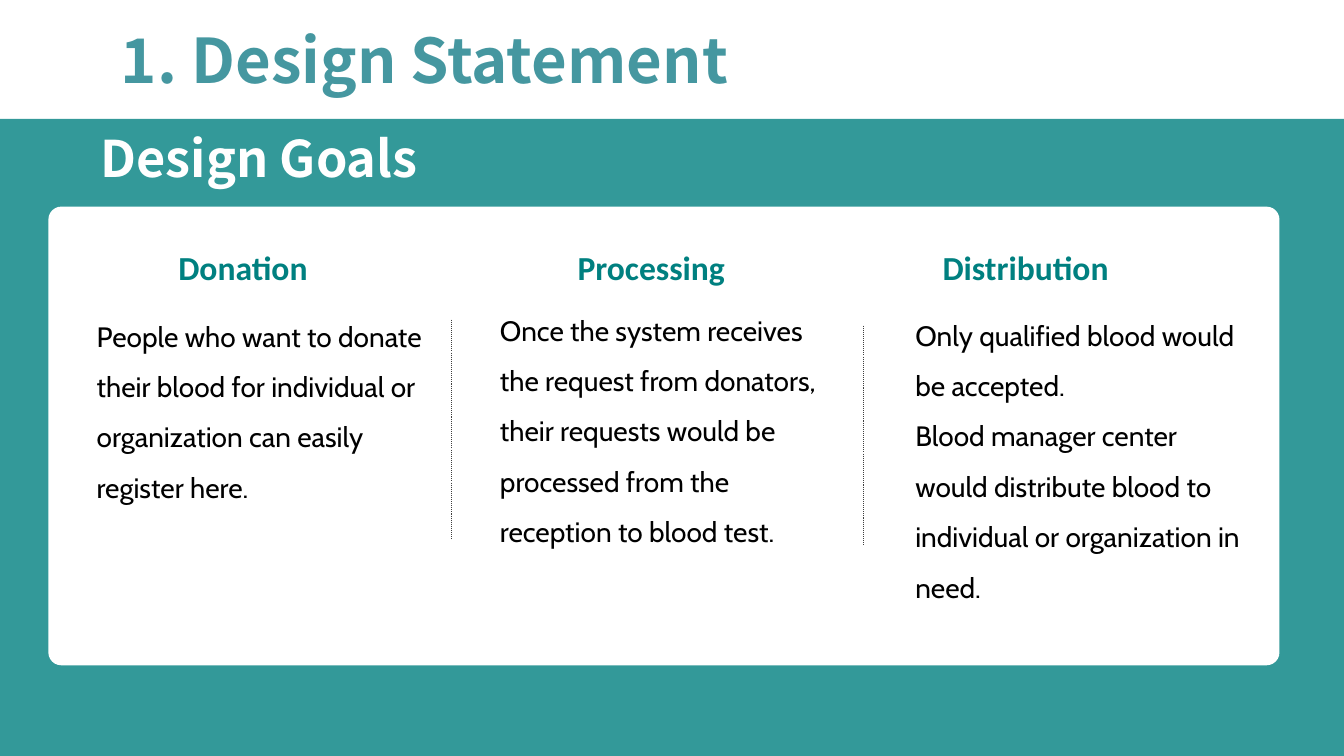
"""Build the Design Statement slide with its three design goals."""
from dataclasses import dataclass

from lxml.etree import SubElement
from pptx import Presentation
from pptx.dml.color import RGBColor
from pptx.enum.dml import MSO_LINE_DASH_STYLE as Dash
from pptx.enum.shapes import MSO_CONNECTOR as Connector, MSO_SHAPE as Shape
from pptx.enum.text import MSO_ANCHOR as Anchor, PP_ALIGN as Align
from pptx.oxml.ns import qn
from pptx.util import Inches, Pt

TEAL = RGBColor(0x00, 0x80, 0x80)
TITLE_BLUE = RGBColor(0x45, 0x97, 0xA0)
WHITE = RGBColor(0xFF, 0xFF, 0xFF)
BLACK = RGBColor(0x00, 0x00, 0x00)
GREY = RGBColor(0x3F, 0x3F, 0x3F)


@dataclass(frozen=True)
class TextStyle:
    font: str
    size: int
    color: RGBColor
    bold: bool = True
    line_spacing: float = 1.0


@dataclass(frozen=True)
class Goal:
    heading: str
    heading_left: float
    paragraphs: tuple[str, ...]
    body_left: float
    body_top: float


@dataclass(frozen=True)
class Divider:
    left: float
    top: float


TITLE = TextStyle("Noto Sans CJK SC", 44, TITLE_BLUE)
SUBTITLE = TextStyle("Noto Sans CJK SC", 36, WHITE)
HEADING = TextStyle("Calibri", 24, TEAL)
BODY = TextStyle("Cabin", 20, BLACK, bold=False, line_spacing=1.5)

GOALS = (
    Goal("Donation", 1.67,
         ("People who want to donate their blood for individual or "
          "organization can easily register here.",), 0.86, 2.95),
    Goal("Processing", 5.63,
         ("Once the system receives the request from donators, their requests "
          "would be processed from the reception to blood test.",), 4.86, 2.89),
    Goal("Distribution", 9.25,
         ("Only qualified blood would be accepted.",
          "Blood manager center would distribute blood to individual or "
          "organization in need."), 8.98, 2.94),
)
DIVIDERS = (Divider(4.48, 3.17), Divider(8.56, 3.23))
DIVIDER_HEIGHT = 2.19


def add_panel(page, kind: Shape, left: float, top: float, width: float,
              height: float, color: RGBColor):
    panel = page.shapes.add_shape(
        kind, Inches(left), Inches(top), Inches(width), Inches(height))
    panel.shadow.inherit = False
    panel.fill.solid()
    panel.fill.fore_color.rgb = color
    panel.line.fill.background()
    return panel


def write_text(box, paragraphs: tuple[str, ...], style: TextStyle) -> None:
    frame = box.text_frame
    frame.word_wrap = True
    frame.vertical_anchor = Anchor.TOP
    for index, wording in enumerate(paragraphs):
        para = frame.add_paragraph() if index else frame.paragraphs[0]
        para.alignment = Align.LEFT
        para.line_spacing = style.line_spacing
        span = para.add_run()
        span.text = wording
        formats = {"name": style.font, "size": Pt(style.size), "bold": style.bold}
        for attribute, value in formats.items():
            setattr(span.font, attribute, value)
        span.font.color.rgb = style.color


def add_text(page, paragraphs: tuple[str, ...], style: TextStyle, left: float,
             top: float, width: float, height: float) -> None:
    box = page.shapes.add_textbox(
        Inches(left), Inches(top), Inches(width), Inches(height))
    write_text(box, paragraphs, style)


def add_goal(page, goal: Goal) -> None:
    add_text(page, goal.paragraphs, BODY, goal.body_left, goal.body_top, 3.45, 3.13)
    add_text(page, (goal.heading,), HEADING, goal.heading_left, 2.4, 2.24, 0.5)


def add_divider(page, divider: Divider) -> None:
    line = page.shapes.add_connector(
        Connector.STRAIGHT, Inches(divider.left), Inches(divider.top),
        Inches(divider.left), Inches(divider.top + DIVIDER_HEIGHT))
    line.line.color.rgb = GREY
    line.line.width = Pt(0.75)
    line.line.dash_style = Dash.ROUND_DOT
    SubElement(line.element.spPr, qn("a:effectLst"))


def place_title(page) -> None:
    title = page.shapes.title
    bounds = {"left": 1.1, "top": 0.17, "width": 7.28, "height": 0.84}
    for attribute, value in bounds.items():
        setattr(title, attribute, Inches(value))
    write_text(title, ("1. Design Statement",), TITLE)


def main() -> None:
    deck = Presentation()
    deck.slide_width, deck.slide_height = Inches(13.33), Inches(7.5)
    page = deck.slides.add_slide(deck.slide_layouts.get_by_name("Title Only"))

    place_title(page)
    backdrop = add_panel(page, Shape.RECTANGLE, 0, 1.18, 13.33, 6.32, TEAL)
    color = backdrop.element.spPr.find(f"{qn('a:solidFill')}/{qn('a:srgbClr')}")
    SubElement(color, qn("a:alpha"), val="80000")
    card = add_panel(page, Shape.ROUNDED_RECTANGLE, 0.48, 2.05, 12.21, 4.55, WHITE)
    card.adjustments[0] = 0.028

    add_text(page, ("Design Goals",), SUBTITLE, 0.9, 1.21, 3.5, 0.71)
    for goal in GOALS:
        add_goal(page, goal)
    for divider in DIVIDERS:
        add_divider(page, divider)
    deck.save("out.pptx")


if __name__ == "__main__":
    main()
